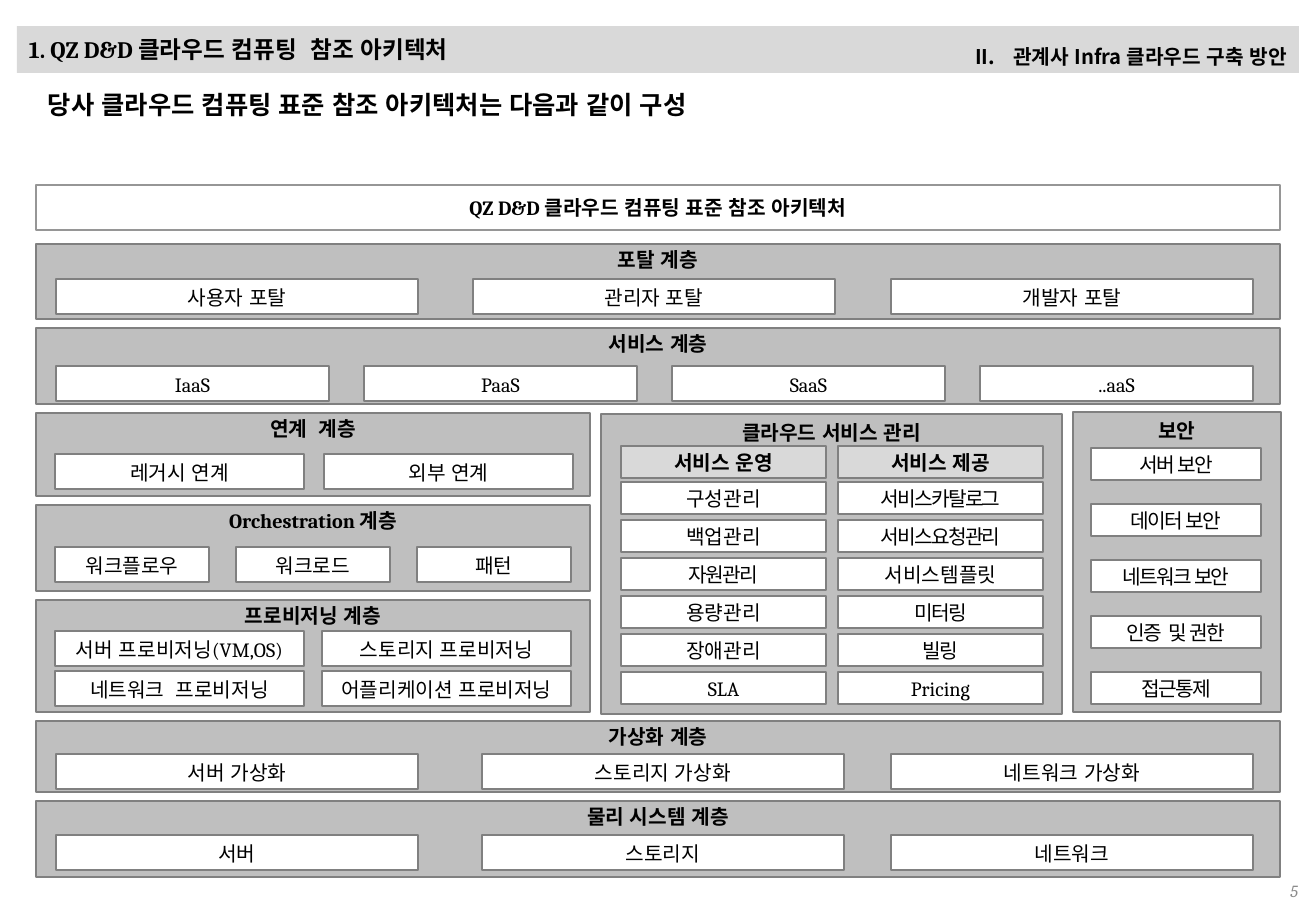
"""Build the cloud computing reference architecture slide."""
from lxml import etree
from pptx import Presentation, util as u
from pptx.dml.color import RGBColor
from pptx.enum import shapes, text
from pptx.oxml.ns import qn

PX = 914400 / 121.5
LEFT, CENTER, RIGHT = text.PP_ALIGN.LEFT, text.PP_ALIGN.CENTER, text.PP_ALIGN.RIGHT
TOP, MIDDLE = text.MSO_ANCHOR.TOP, text.MSO_ANCHOR.MIDDLE
WHITE, PALE, GREY, EDGE = "FFFFFF", "D9D9D9", "BFBFBF", "808080"

prs = Presentation()
prs.slide_width, prs.slide_height = u.Emu(round(1316 * PX)), u.Emu(round(911 * PX))
s = prs.slides.add_slide(prs.slide_layouts[6])


def rgb(value):
    return RGBColor.from_string(value)


def box(label, rect, fill=None, line=None, size=12, bold=False, italic=False,
        color="000000", font="Cambria", align=CENTER, anchor=MIDDLE, wrap=True,
        insets=(12, 6, 12, 6), spacing=1.0, tracking=0):
    lengths = [u.Emu(round(v * PX)) for v in rect]
    if fill:
        sp = s.shapes.add_shape(shapes.MSO_SHAPE.RECTANGLE, *lengths)
        sp.shadow.inherit = False
        sp.fill.solid()
        sp.fill.fore_color.rgb = rgb(fill)
        if line:
            sp.line.color.rgb = rgb(line)
            sp.line.width = u.Pt(0.75)
        else:
            sp.line.fill.background()
    else:
        sp = s.shapes.add_textbox(*lengths)
    tf = sp.text_frame
    frame = {"word_wrap": wrap, "vertical_anchor": anchor}
    for side, inset in zip(("left", "top", "right", "bottom"), insets):
        frame[f"margin_{side}"] = u.Emu(round(inset * PX))
    for name, value in frame.items():
        setattr(tf, name, value)
    p = tf.paragraphs[0]
    p.alignment, p.line_spacing = align, spacing
    r = p.add_run()
    r.text = label
    r.font.color.rgb = rgb(color)
    for name, value in {"size": u.Pt(size), "bold": bold, "italic": italic, "name": font}.items():
        setattr(r.font, name, value)
    rPr = r.font._element
    rPr.set("lang", "ko-KR")
    if tracking:
        rPr.set("spc", str(tracking))
    etree.SubElement(rPr, qn("a:ea"), typeface="Noto Sans CJK KR")
    return p


box("1. QZ D&D 클라우드 컴퓨팅  참조 아키텍처", (17, 26, 1282, 47), PALE,
    size=14, bold=True, align=LEFT)
p = box("관계사 Infra 클라우드 구축 방안", (937, 26, 362, 44), bold=True, anchor=TOP,
        font="Noto Sans CJK KR", align=RIGHT, wrap=False, spacing=1.5)
pPr = p._p.get_or_add_pPr()
pPr.set("marL", "285750")
pPr.set("indent", "-285750")
etree.SubElement(pPr, qn("a:buAutoNum"), type="romanUcPeriod", startAt="2")
box("당사 클라우드 컴퓨팅 표준 참조 아키텍처는 다음과 같이 구성", (38, 73, 1243, 98),
    size=15, bold=True, align=LEFT, anchor=TOP, insets=(10, 10, 10, 10), spacing=1.2)
box("QZ D&D 클라우드 컴퓨팅 표준 참조 아키텍처", (36, 185, 1244, 45), WHITE, "969696",
    bold=True, wrap=False)

layers = [
    ("포탈 계층", (36, 244, 1244, 75), (56, 473, 891), 279, 362,
     ["사용자 포탈", "관리자 포탈", "개발자 포탈"]),
    ("서비스 계층", (36, 328, 1244, 76), (56, 364, 672, 980), 366, 273,
     ["IaaS", "PaaS", "SaaS", "..aaS"]),
    ("연계  계층", (36, 413, 554, 83), (55, 324), 454, 249,
     ["레거시 연계", "외부 연계"]),
    ("Orchestration 계층", (36, 505, 554, 86), (55, 236, 417), 547, 154,
     ["워크플로우", "워크로드", "패턴"]),
    ("프로비저닝 계층", (36, 600, 554, 112), (55, 322), 631, 249,
     ["서버 프로비저닝(VM,OS)", "스토리지 프로비저닝",
      "네트워크  프로비저닝", "어플리케이션 프로비저닝"]),
    ("가상화 계층", (36, 721, 1244, 71), (56, 482, 891), 754, 362,
     ["서버 가상화", "스토리지 가상화", "네트워크 가상화"]),
    ("물리 시스템 계층", (36, 801, 1244, 76), (56, 482, 891), 835, 362,
     ["서버", "스토리지", "네트워크"]),
]
for heading, rect, lefts, top, width, labels in layers:
    box(heading, rect, GREY, EDGE, bold=True, anchor=TOP, spacing=0.9)
    for i, label in enumerate(labels):
        row, col = divmod(i, len(lefts))
        box(label, (lefts[col], top + 40 * row, width, 35), WHITE, EDGE,
            insets=(0, 5, 0, 0), spacing=0.9)

box("클라우드 서비스 관리", (601, 414, 461, 300), GREY, EDGE, bold=True, anchor=TOP)
tight = {"자원관리", "서비스카탈로그", "서비스요청관리", "미터링", "빌링"}
management = [
    (621, "서비스 운영", ["구성관리", "백업관리", "자원관리", "용량관리", "장애관리", "SLA"]),
    (838, "서비스 제공", ["서비스카탈로그", "서비스요청관리", "서비스템플릿", "미터링", "빌링",
                      "Pricing"]),
]
for left, heading, labels in management:
    box(heading, (left, 446, 205, 32), PALE, EDGE, bold=True)
    for i, label in enumerate(labels):
        box(label, (left, 482 + 38 * i, 205, 32), WHITE, EDGE,
            tracking=-100 if label in tight else 0)

box("보안", (1073, 412, 208, 300), GREY, EDGE, bold=True, anchor=TOP)
for i, label in enumerate(["서버 보안", "데이터 보안", "네트워크 보안", "인증  및 권한", "접근통제"]):
    box(label, (1091, 448 + 56 * i, 170, 32), WHITE, EDGE, insets=(0, 6, 0, 6), tracking=-100)

box("5", (1002, 876, 308, 29), size=10, italic=True, color="8C8C8C", align=RIGHT)
prs.save("out.pptx")
